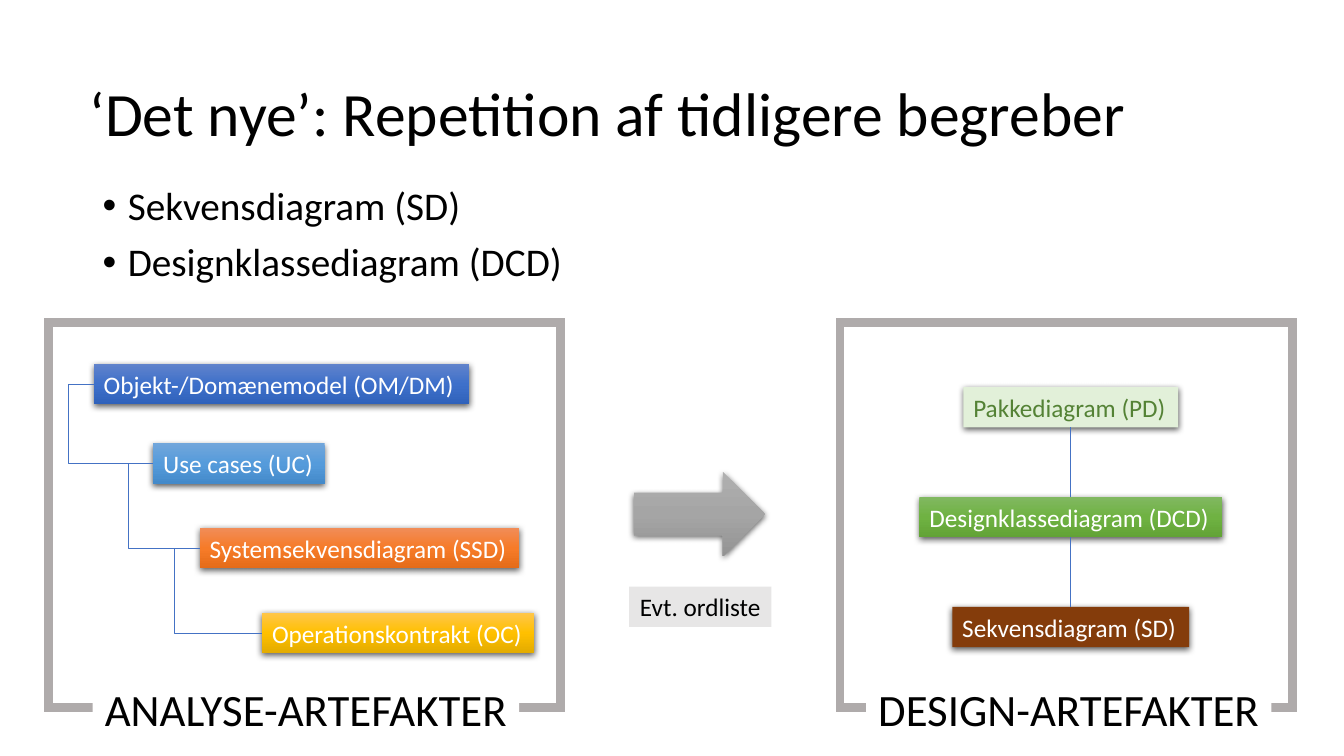
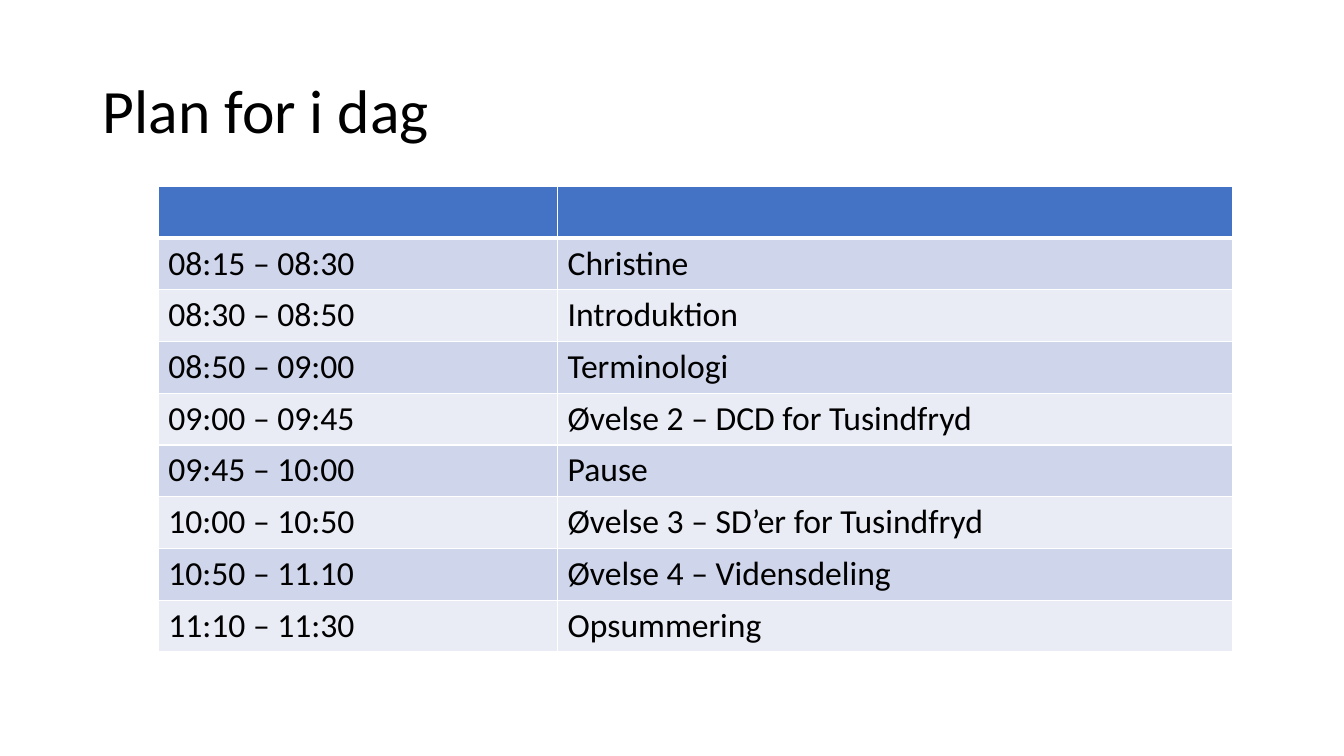
"""Build two teaching slides: a review of design terms and the plan of the day."""
import copy
import dataclasses

import lxml.etree
import pptx
import pptx.dml.color
import pptx.enum.shapes
import pptx.enum.text
import pptx.oxml
import pptx.oxml.ns
import pptx.util

Inches = pptx.util.Inches
Pt = pptx.util.Pt
SHAPE = pptx.enum.shapes.MSO_SHAPE
CONNECTOR = pptx.enum.shapes.MSO_CONNECTOR
ALIGN = pptx.enum.text.PP_ALIGN
qn = pptx.oxml.ns.qn


@dataclasses.dataclass(frozen=True)
class Theme:
    font: str = "Calibri"
    title_size: int = 44
    caption_size: int = 32
    bullet_size: int = 28
    table_size: int = 24
    box_size: int = 18
    text: str = "000000"
    white: str = "FFFFFF"
    accent: str = "4472C4"
    frame: str = "AFABAB"
    note: str = "E7E6E6"
    bands: tuple = ("E9EBF5", "CFD5EA")
    blue: tuple = ("6183CB", "3E70CA", "3062BB")
    sky: tuple = ("71A6DB", "559BDB", "448ACA")
    orange: tuple = ("F18C57", "F67B28", "E56C19")
    gold: tuple = ("FFC64B", "FFC000", "E3AB00")
    green: tuple = ("81B861", "6FB242", "62A336")
    grey: tuple = ("AFAFAF", "A5A5A5", "939393")
    brown: str = "843C0B"
    pale_green: str = "E2F0D9"
    dark_green: str = "548235"


THEME = Theme()

REVIEW_TITLE = "‘Det nye’: Repetition af tidligere begreber"
REVIEW_BULLETS = ["Sekvensdiagram (SD)", "Designklassediagram (DCD)"]
ANALYSIS_BOXES = [
    ("Objekt-/Domænemodel (OM/DM)", 0.93, 3.61, 3.72, THEME.blue),
    ("Use cases (UC)", 1.52, 4.4, 1.7, THEME.sky),
    ("Systemsekvensdiagram (SSD)", 1.98, 5.24, 3.17, THEME.orange),
    ("Operationskontrakt (OC)", 2.6, 6.08, 2.7, THEME.gold),
]
DESIGN_BOXES = [
    ("Pakkediagram (PD)", 2.13, THEME.pale_green, THEME.dark_green),
    ("Designklassediagram (DCD)", 3, THEME.green, THEME.white),
    ("Sekvensdiagram (SD)", 2.35, THEME.brown, THEME.white),
]
GROUP_FRAMES = [
    (0.48, 5.08, "ANALYSE-ARTEFAKTER", 0.92, 4.23),
    (8.33, 4.49, "DESIGN-ARTEFAKTER", 8.59, 4.02),
]
WORD_LIST = "Evt. ordliste"

PLAN_TITLE = "Plan for i dag"
PLAN_ROWS = [
    ("", ""),
    ("08:15 – 08:30", "Christine"),
    ("08:30 – 08:50", "Introduktion"),
    ("08:50 – 09:00", "Terminologi"),
    ("09:00 – 09:45", "Øvelse 2 – DCD for Tusindfryd"),
    ("09:45 – 10:00", "Pause"),
    ("10:00 – 10:50", "Øvelse 3 – SD’er for Tusindfryd"),
    ("10:50 – 11.10", "Øvelse 4 – Vidensdeling"),
    ("11:10 – 11:30", "Opsummering"),
]
PLAN_COLUMNS = (3.96, 6.7)
PLAN_HEIGHT = 4.62

BOX_HEIGHT = 0.4
DESIGN_CENTER, DESIGN_TOP, DESIGN_STEP = 10.62, 3.84, 1.09
ELBOW_REACH = 0.25


def color(value):
    return pptx.dml.color.RGBColor.from_string(value)


def format_text(text_frame, size, value=THEME.text, align=ALIGN.LEFT, spacing=None):
    for paragraph in text_frame.paragraphs:
        paragraph.alignment = align
        paragraph.line_spacing = spacing
        for run in paragraph.runs:
            run.font.name = THEME.font
            run.font.size = Pt(size)
            run.font.color.rgb = color(value)


def add_titled_slide(presentation, text, left, top):
    slide = presentation.slides.add_slide(presentation.slide_layouts[5])
    title = slide.shapes.title
    title.left, title.top = Inches(left), Inches(top)
    title.width, title.height = Inches(11.5), Inches(1.45)
    title.text_frame.text = text
    title.text_frame.vertical_anchor = pptx.enum.text.MSO_ANCHOR.MIDDLE
    format_text(title.text_frame, THEME.title_size, spacing=0.9)
    return slide


def add_bullets(slide, lines, left, top, width, height):
    box = slide.shapes.add_textbox(*map(Inches, (left, top, width, height)))
    box.text_frame.word_wrap = True
    box.text_frame.text = "\n".join(lines)
    format_text(box.text_frame, THEME.bullet_size, spacing=0.9)
    for paragraph in box.text_frame.paragraphs:
        paragraph.space_before = Pt(10)
        properties = paragraph._p.get_or_add_pPr()
        properties.set("marL", str(Inches(0.25)))
        properties.set("indent", str(-Inches(0.25)))
        lxml.etree.SubElement(properties, qn("a:buFont")).set("typeface", "Arial")
        lxml.etree.SubElement(properties, qn("a:buChar")).set("char", "•")


def fill_shape(shape, fill):
    if isinstance(fill, str):
        shape.fill.solid()
        shape.fill.fore_color.rgb = color(fill)
        return
    shape.fill.gradient()
    shape.fill.gradient_angle = 270
    stop_list = shape.element.spPr.find(qn("a:gradFill")).find(qn("a:gsLst"))
    stop_list.insert(1, copy.deepcopy(stop_list[0]))
    for stop, position, value in zip(shape.fill.gradient_stops, (0, 0.5, 1), fill):
        stop.position = position
        stop.color.rgb = color(value)


def add_shadow(shape):
    effects = shape.element.spPr.find(qn("a:effectLst"))
    shadow = lxml.etree.SubElement(effects, qn("a:outerShdw"))
    for name, value in (("blurRad", Pt(4.5)), ("dist", Pt(1.5)), ("dir", 5400000), ("rotWithShape", 0)):
        shadow.set(name, str(value))
    tone = lxml.etree.SubElement(shadow, qn("a:srgbClr"))
    tone.set("val", THEME.text)
    lxml.etree.SubElement(tone, qn("a:alpha")).set("val", "63000")


def add_plain_shape(slide, kind, left, top, width, height, fill, shadow=False):
    shape = slide.shapes.add_shape(kind, *map(Inches, (left, top, width, height)))
    shape.shadow.inherit = False
    shape.line.fill.background()
    fill_shape(shape, fill)
    if shadow:
        add_shadow(shape)
    return shape


def add_label(slide, text, left, top, width, height, fill, size=THEME.box_size,
              value=THEME.text, align=ALIGN.CENTER, shadow=False):
    label = add_plain_shape(slide, SHAPE.RECTANGLE, left, top, width, height, fill, shadow)
    label.text_frame.text = text
    label.text_frame.word_wrap = False
    label.text_frame.auto_size = pptx.enum.text.MSO_AUTO_SIZE.SHAPE_TO_FIT_TEXT
    format_text(label.text_frame, size, value, align)
    return label


def add_artefact(slide, text, left, top, width, fill, value=THEME.white):
    return add_label(slide, text, left, top, width, BOX_HEIGHT, fill,
                     value=value, align=ALIGN.LEFT, shadow=True)


def add_frame(slide, left, width):
    frame = slide.shapes.add_shape(SHAPE.RECTANGLE, *map(Inches, (left, 3.2, width, 3.82)))
    frame.shadow.inherit = False
    frame.fill.background()
    frame.line.color.rgb = color(THEME.frame)
    frame.line.width = Pt(6)
    outline = frame.element.spPr.find(qn("a:ln"))
    lxml.etree.SubElement(outline, qn("a:miter")).set("lim", "800000")


def site_point(shape, site):
    middle, center = shape.top + shape.height // 2, shape.left + shape.width // 2
    return {0: (center, shape.top), 1: (shape.left, middle),
            2: (center, shape.top + shape.height)}[site]


def connect(slide, kind, first, first_site, last, last_site):
    connector = slide.shapes.add_connector(
        kind, *site_point(first, first_site), *site_point(last, last_site))
    connector.begin_connect(first, first_site)
    connector.end_connect(last, last_site)
    connector.line.color.rgb = color(THEME.accent)
    connector.line.width = Pt(0.5)
    lxml.etree.SubElement(connector.element.spPr, qn("a:effectLst"))
    return connector


def connect_left_sides(slide, first, last):
    connector = connect(slide, CONNECTOR.ELBOW, first, 1, last, 1)
    geometry = connector.element.spPr.find(qn("a:prstGeom"))
    adjustments = geometry.find(qn("a:avLst"))
    if adjustments is None:
        adjustments = lxml.etree.SubElement(geometry, qn("a:avLst"))
    guide = lxml.etree.SubElement(adjustments, qn("a:gd"))
    guide.set("name", "adj1")
    guide.set("fmla", f"val {round(-Inches(ELBOW_REACH) / connector.width * 100000)}")


def set_borders(cell, widths):
    properties = cell._tc.get_or_add_tcPr()
    for side, width in zip("LRTB", widths):
        border = lxml.etree.SubElement(properties, qn(f"a:ln{side}"))
        border.set("w", str(Pt(width)))
        fill = lxml.etree.SubElement(border, qn("a:solidFill"))
        lxml.etree.SubElement(fill, qn("a:srgbClr")).set("val", THEME.white)


def build_review(presentation):
    slide = add_titled_slide(presentation, REVIEW_TITLE, 0.79, 0.43)
    add_bullets(slide, REVIEW_BULLETS, 0.92, 1.8, 4.93, 1.29)
    add_plain_shape(slide, SHAPE.RIGHT_ARROW, 6.29, 4.68, 1.3, 0.84, THEME.grey, shadow=True)
    for left, width, caption, caption_left, caption_width in GROUP_FRAMES:
        add_frame(slide, left, width)
        add_label(slide, caption, caption_left, 6.71, caption_width, 0.64,
                  THEME.white, THEME.caption_size)
    analysis = [add_artefact(slide, *box) for box in ANALYSIS_BOXES]
    for first, last in zip(analysis, analysis[1:]):
        connect_left_sides(slide, first, last)
    design = [
        add_artefact(slide, text, DESIGN_CENTER - width / 2,
                     DESIGN_TOP + index * DESIGN_STEP, width, fill, value)
        for index, (text, width, fill, value) in enumerate(DESIGN_BOXES)
    ]
    for first, last in zip(design, design[1:]):
        connect(slide, CONNECTOR.STRAIGHT, first, 2, last, 0)
    add_label(slide, WORD_LIST, 6.24, 5.82, 1.41, BOX_HEIGHT, THEME.note)


def build_plan(presentation):
    slide = add_titled_slide(presentation, PLAN_TITLE, 0.92, 0.4)
    size = (len(PLAN_ROWS), len(PLAN_COLUMNS))
    frame = slide.shapes.add_table(
        *size, *map(Inches, (1.57, 1.85, sum(PLAN_COLUMNS), PLAN_HEIGHT)))
    table = frame.table
    for column, width in zip(table.columns, PLAN_COLUMNS):
        column.width = Inches(width)
    for row_index, texts in enumerate(PLAN_ROWS):
        table.rows[row_index].height = Inches(PLAN_HEIGHT / len(PLAN_ROWS))
        fill = THEME.bands[row_index % 2] if row_index else THEME.accent
        borders = (1, 1, 3 if row_index == 1 else 1, 1 if row_index else 3)
        for column_index, text in enumerate(texts):
            cell = table.cell(row_index, column_index)
            set_borders(cell, borders)
            cell.fill.solid()
            cell.fill.fore_color.rgb = color(fill)
            cell.text_frame.text = text
            format_text(cell.text_frame, THEME.table_size)


presentation = pptx.Presentation()
presentation.slide_width, presentation.slide_height = Inches(13.33), Inches(7.5)
build_review(presentation)
build_plan(presentation)
presentation.save("out.pptx")
